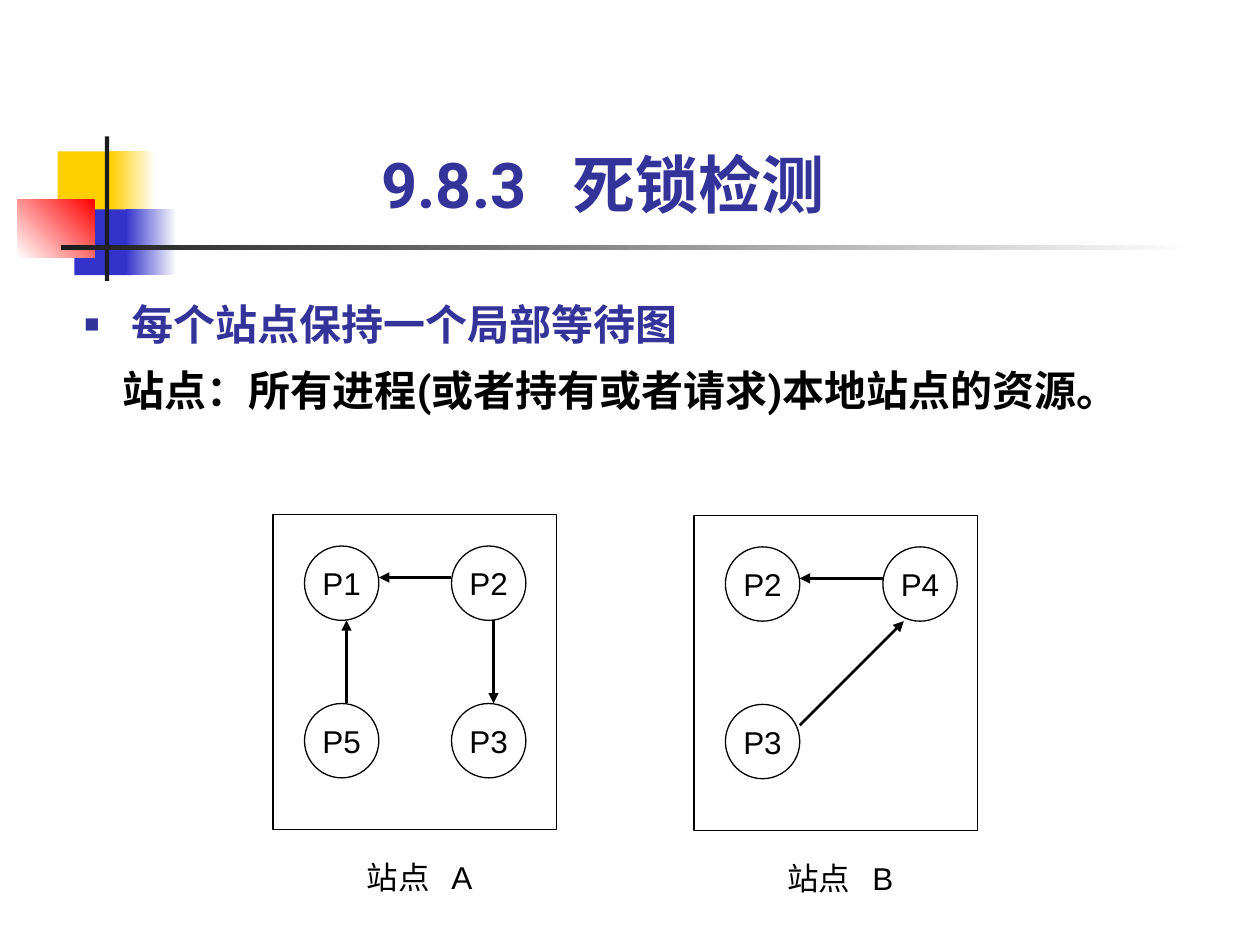
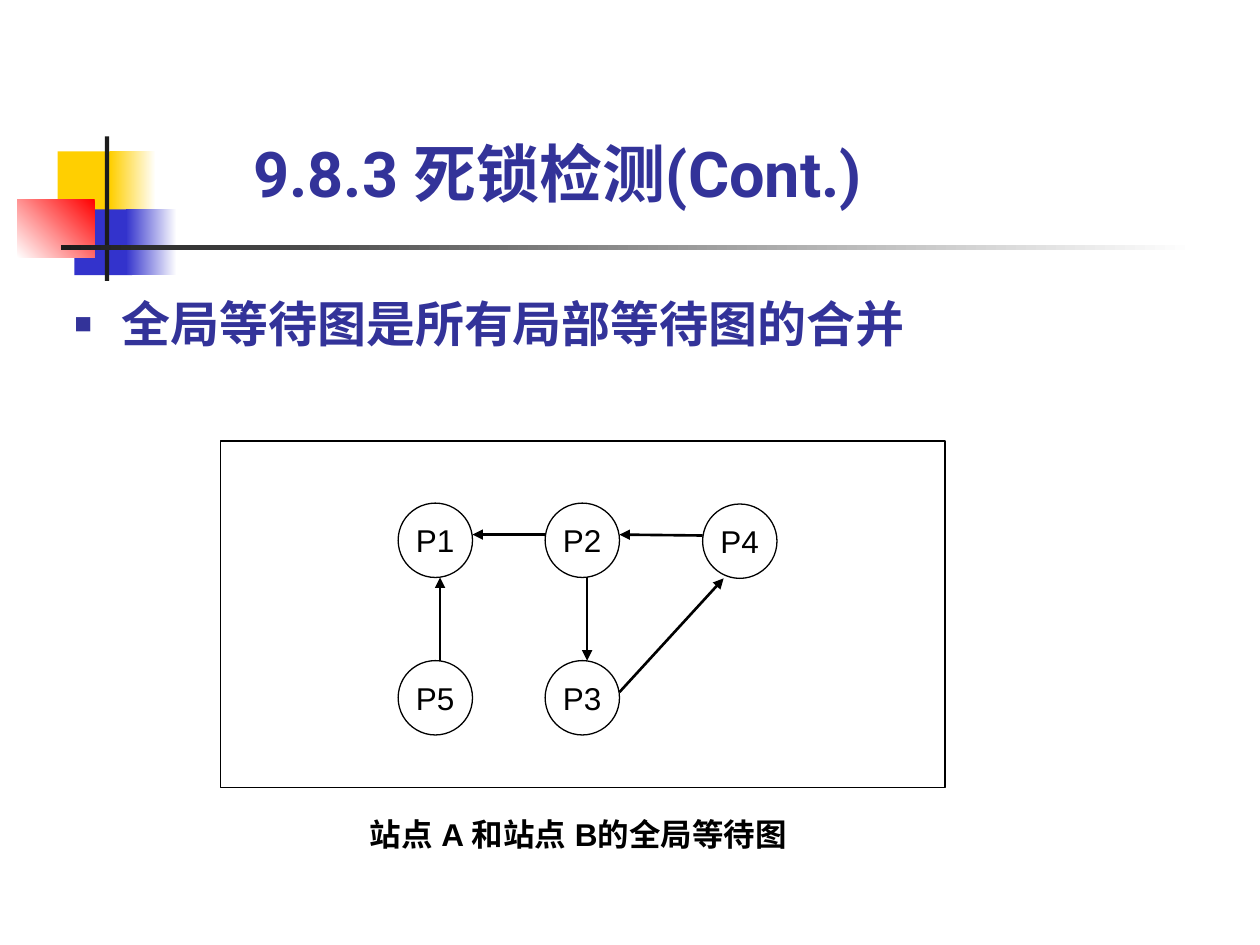
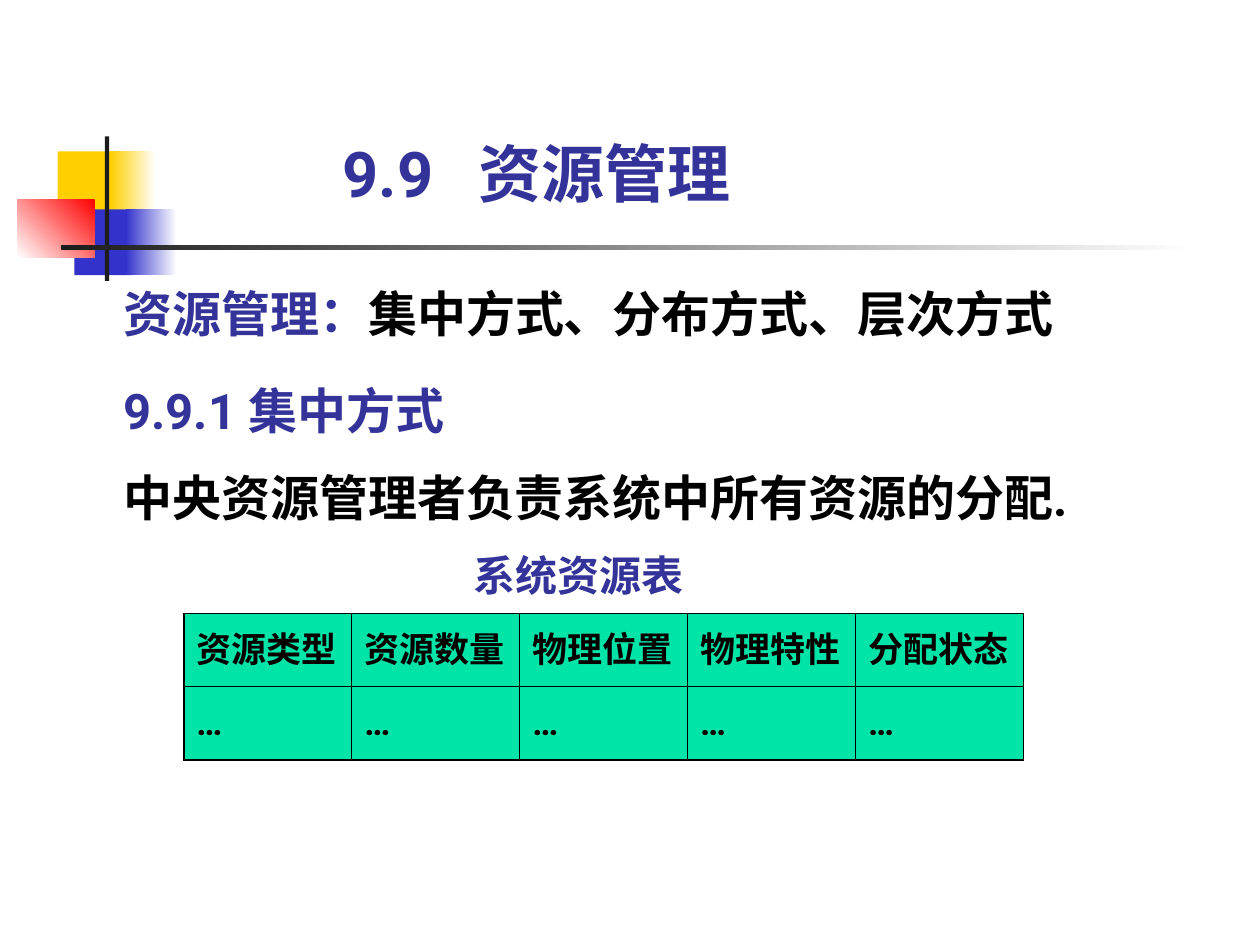
from dataclasses import dataclass

from lxml.etree import SubElement
from pptx import Presentation
from pptx.dml.color import RGBColor
from pptx.enum.shapes import MSO_CONNECTOR as Connector, MSO_SHAPE as Preset
from pptx.enum.text import MSO_ANCHOR as Anchor, PP_ALIGN as Align
from pptx.oxml.ns import qn
from pptx.util import Pt


@dataclass(frozen=True)
class Theme:
    ink: str = "000000"
    heading: str = "333399"
    white: str = "FFFFFF"
    yellow: str = "FFCF01"
    blue: str = "3333CC"
    red: str = "FF0000"
    rule: str = "1C1C1C"
    cell: str = "00E4A8"
    title_size: int = 36
    lead_size: int = 28
    body_size: int = 24
    cell_size: int = 20
    label_size: int = 18
    text_font: str = "Roboto"
    label_font: str = "Arial"
    outline: float = 0.75
    arrow: float = 1.5
    border_outer: float = 1.08
    border_inner: float = 0.45


NODE = 42.5
PORTS = {
    "w": (0, 18), "e": (NODE, 18), "n": (24, 0), "s": (24, NODE),
    "sw": (12, NODE), "ne": (NODE, 12),
}
STEP_X, STEP_Y = 84, 90


class Deck:
    def __init__(self, theme):
        self.theme = theme
        self.prs = Presentation()
        self.prs.slide_width, self.prs.slide_height = Pt(720), Pt(540)
        self.slide = None

    def new_slide(self, title, box, tab=None, spacing=None):
        t = self.theme
        self.slide = self.prs.slides.add_slide(self.prs.slide_layouts[6])
        self.block((33, 86.5, 34.5, 37.5), t.yellow)
        self.block((63, 86.5, 26, 37.5), t.white, t.yellow)
        self.block((42.5, 119.7, 33, 37.5), t.blue)
        self.block((72, 119.7, 29, 37.5), t.white, t.blue)
        self.block((9.8, 113.8, 44.3, 33.5), t.red, t.white, 225)
        self.block((59.9, 78, 2.5, 82.5), t.rule)
        self.block((34.8, 140.2, 648, 2.5), t.white, t.rule)
        frame = self.frame(box, anchor=Anchor.BOTTOM)
        self.set_text(frame.paragraphs[0], title, t.title_size, tab=tab, spacing=spacing)

    def block(self, box, color, end=None, angle=180):
        shape = self.shape(Preset.RECTANGLE, box)
        shape.line.fill.background()
        if end is None:
            shape.fill.solid()
            shape.fill.fore_color.rgb = RGBColor.from_string(color)
            return
        shape.fill.gradient()
        shape.fill.gradient_angle = angle
        for stop, shade, position in zip(shape.fill.gradient_stops, (color, end), (0, 1)):
            stop.color.rgb = RGBColor.from_string(shade)
            stop.position = position

    def shape(self, preset, box):
        shape = self.slide.shapes.add_shape(preset, *map(Pt, box))
        shape.shadow.inherit = False
        return shape

    def outlined(self, preset, box):
        shape = self.shape(preset, box)
        shape.fill.background()
        shape.line.color.rgb = RGBColor.from_string(self.theme.ink)
        shape.line.width = Pt(self.theme.outline)
        return shape

    def frame(self, box, anchor=Anchor.TOP):
        frame = self.slide.shapes.add_textbox(*map(Pt, box)).text_frame
        frame.word_wrap = True
        frame.vertical_anchor = anchor
        frame.margin_left = frame.margin_right = 0
        frame.margin_top = frame.margin_bottom = 0
        return frame

    def set_text(self, paragraph, text, size, color=None, font=None, bold=True, align=None,
                 spacing=None, before=None, indent=0, tab=None, bullet=False):
        t = self.theme
        props = paragraph._p.get_or_add_pPr()
        if bullet:
            props.set("marL", str(Pt(27)))
            props.set("indent", str(-Pt(27)))
            SubElement(SubElement(props, qn("a:buClr")), qn("a:srgbClr"), val=t.heading)
            SubElement(props, qn("a:buSzPct"), val="60000")
            SubElement(props, qn("a:buFont"), typeface=t.label_font)
            SubElement(props, qn("a:buChar"), char="■")
        elif indent:
            props.set("marL", str(Pt(indent)))
        if tab:
            SubElement(SubElement(props, qn("a:tabLst")), qn("a:tab"), pos=str(Pt(tab)), algn="l")
        if align is not None:
            paragraph.alignment = align
        if spacing:
            paragraph.line_spacing = spacing
        if before:
            paragraph.space_before = Pt(before)
        face = font or t.text_font
        paragraph.font.size = Pt(size)
        paragraph.font.bold = bold
        paragraph.font.color.rgb = RGBColor.from_string(color or t.heading)
        paragraph.font.name = face
        SubElement(props.find(qn("a:defRPr")), qn("a:ea"), typeface=face)
        paragraph.add_run().text = text

    def caption(self, box, text, bold=False, align=None, tab=None):
        t = self.theme
        frame = self.frame(box, Anchor.MIDDLE)
        self.set_text(frame.paragraphs[0], text, t.label_size, t.ink, t.label_font, bold, align, tab=tab)

    def arrow(self, start, end):
        line = self.slide.shapes.add_connector(Connector.STRAIGHT, *map(Pt, (*start, *end)))
        line.line.color.rgb = RGBColor.from_string(self.theme.ink)
        line.line.width = Pt(self.theme.arrow)
        props = line._element.spPr
        SubElement(props.find(qn("a:ln")), qn("a:tailEnd"), type="triangle")
        SubElement(props, qn("a:effectLst"))

    def wait_graph(self, box, origin, nodes, edges):
        t = self.theme
        self.outlined(Preset.RECTANGLE, box)
        places = {name: (box[0] + origin[0] + x, box[1] + origin[1] + y)
                  for name, (x, y) in nodes.items()}
        for name, place in places.items():
            frame = self.outlined(Preset.OVAL, (*place, NODE, NODE)).text_frame
            frame.word_wrap = False
            frame.vertical_anchor = Anchor.MIDDLE
            self.set_text(frame.paragraphs[0], name, t.label_size, t.ink, t.label_font, False, Align.CENTER)
        for waiter, out_port, holder, in_port in edges:
            self.arrow(*(tuple(map(sum, zip(places[name], PORTS[port])))
                         for name, port in ((waiter, out_port), (holder, in_port))))

    def table(self, box, rows):
        t = self.theme
        last_row, last_col = len(rows) - 1, len(rows[0]) - 1
        table = self.slide.shapes.add_table(len(rows), len(rows[0]), *map(Pt, box)).table
        table.first_row = table.horz_banding = False
        for r, row in enumerate(rows):
            for c, text in enumerate(row):
                cell = table.cell(r, c)
                cell.vertical_anchor = Anchor.MIDDLE
                edges = {"L": c == 0, "R": c == last_col, "T": r == 0, "B": r == last_row}
                for side, outer in edges.items():
                    width = t.border_outer if outer else t.border_inner
                    border = SubElement(cell._tc.get_or_add_tcPr(), qn(f"a:ln{side}"), w=str(Pt(width)))
                    SubElement(SubElement(border, qn("a:solidFill")), qn("a:srgbClr"), val=t.ink)
                cell.fill.solid()
                cell.fill.fore_color.rgb = RGBColor.from_string(t.cell)
                self.set_text(cell.text_frame.paragraphs[0], text, t.cell_size, t.ink)


SITE_A_NODES = {"P1": (0, 0), "P2": (STEP_X, 0), "P3": (STEP_X, STEP_Y), "P5": (0, STEP_Y)}
SITE_A_EDGES = [("P2", "w", "P1", "e"), ("P2", "s", "P3", "n"), ("P5", "n", "P1", "s")]
SITE_B_NODES = {"P2": (0, 0), "P4": (90, 0), "P3": (0, STEP_Y)}
P4_TO_P2 = ("P4", "w", "P2", "e")


def local_graphs(deck):
    t = deck.theme
    deck.new_slide("9.8.3\t死锁检测", (218, 91.5, 278, 34.5), tab=109, spacing=0.8)
    body = deck.frame((48.3, 162, 642, 75))
    deck.set_text(body.paragraphs[0], "每个站点保持一个局部等待图", t.body_size, spacing=1.3, bullet=True)
    deck.set_text(body.add_paragraph(), "站点：所有进程(或者持有或者请求)本地站点的资源。",
                  t.body_size, t.ink, spacing=1.3, indent=22)
    sites = [
        ("A", 156, 294, SITE_A_NODES, SITE_A_EDGES),
        ("B", 396.5, 294.5, SITE_B_NODES, [P4_TO_P2, ("P3", "ne", "P4", "sw")]),
    ]
    for site, left, top, nodes, edges in sites:
        deck.wait_graph((left, top, 162, 180), (18, 18), nodes, edges)
        deck.caption((left + 53.5, top + 193, 75, 28.5), f"站点\t{site}", tab=48.5)


def global_graph(deck):
    deck.new_slide("9.8.3 死锁检测(Cont.)", (144.7, 77, 415.5, 43.2))
    body = deck.frame((42.5, 167.8, 499, 34))
    deck.set_text(body.paragraphs[0], "全局等待图是所有局部等待图的合并", deck.theme.lead_size, bullet=True)
    deck.wait_graph((126, 252, 414, 198), (101.5, 35.5), {**SITE_A_NODES, "P4": (STEP_X + 90, 0.5)},
                    SITE_A_EDGES + [P4_TO_P2, ("P3", "e", "P4", "sw")])
    deck.caption((195.8, 462.2, 269.3, 28.8), "站点 A 和站点 B的全局等待图", True, Align.CENTER)


def resource_management(deck):
    t = deck.theme
    deck.new_slide("9.9\t资源管理", (195.8, 77, 241.2, 43.2), tab=77.5)
    modes = deck.frame((70.6, 162, 550, 34)).paragraphs[0]
    deck.set_text(modes, "资源管理：", t.lead_size)
    choices = modes.add_run()
    choices.text = "集中方式、分布方式、层次方式"
    choices.font.color.rgb = RGBColor.from_string(t.ink)
    body = deck.frame((70.6, 207.4, 612, 93.6))
    deck.set_text(body.paragraphs[0], "9.9.1 集中方式", t.lead_size, spacing=1.3)
    deck.set_text(body.add_paragraph(), "中央资源管理者负责系统中所有资源的分配.",
                  t.lead_size, t.ink, spacing=1.3, before=6)
    deck.table((105, 350.5, 480, 84),
               [["资源类型", "资源数量", "物理位置", "物理特性", "分配状态"], ["…"] * 5])
    heading = deck.frame((270.7, 314, 135.4, 28.8))
    deck.set_text(heading.paragraphs[0], "系统资源表", t.body_size)


def main():
    deck = Deck(Theme())
    local_graphs(deck)
    global_graph(deck)
    resource_management(deck)
    deck.prs.save("out.pptx")


if __name__ == "__main__":
    main()
